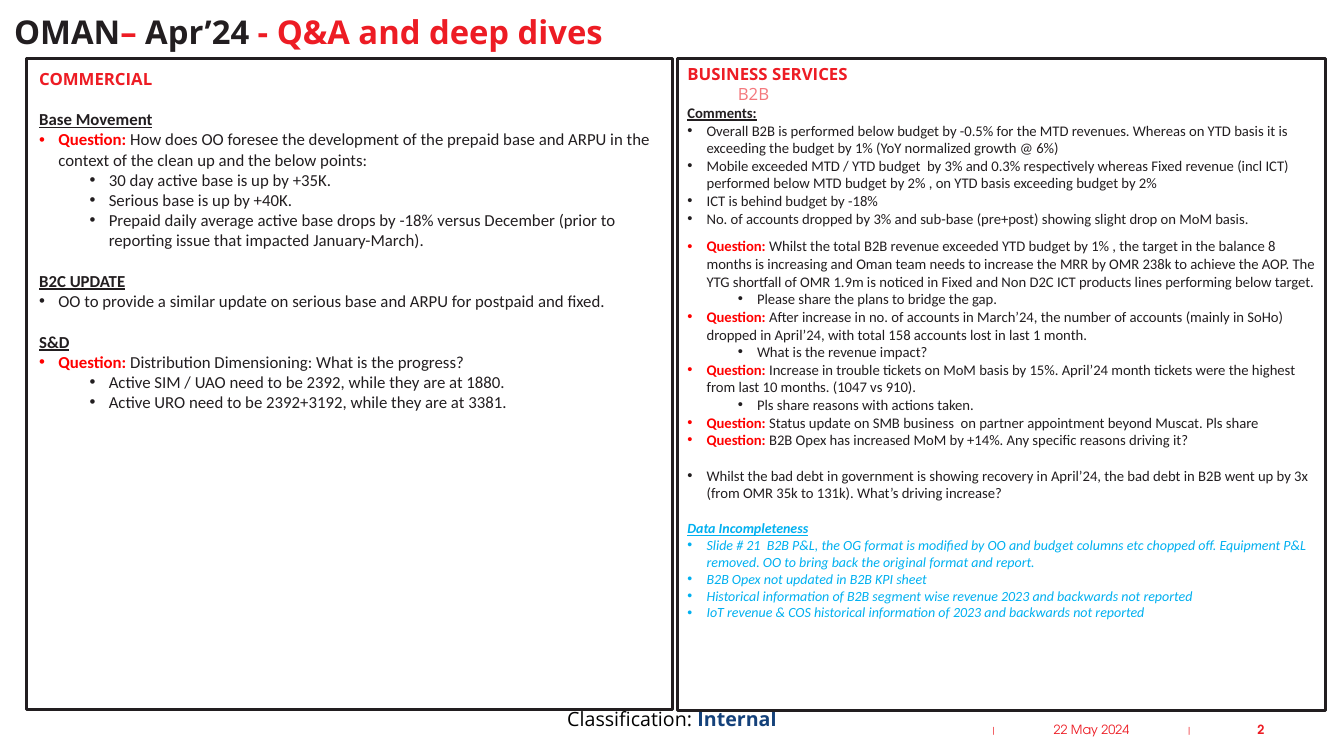
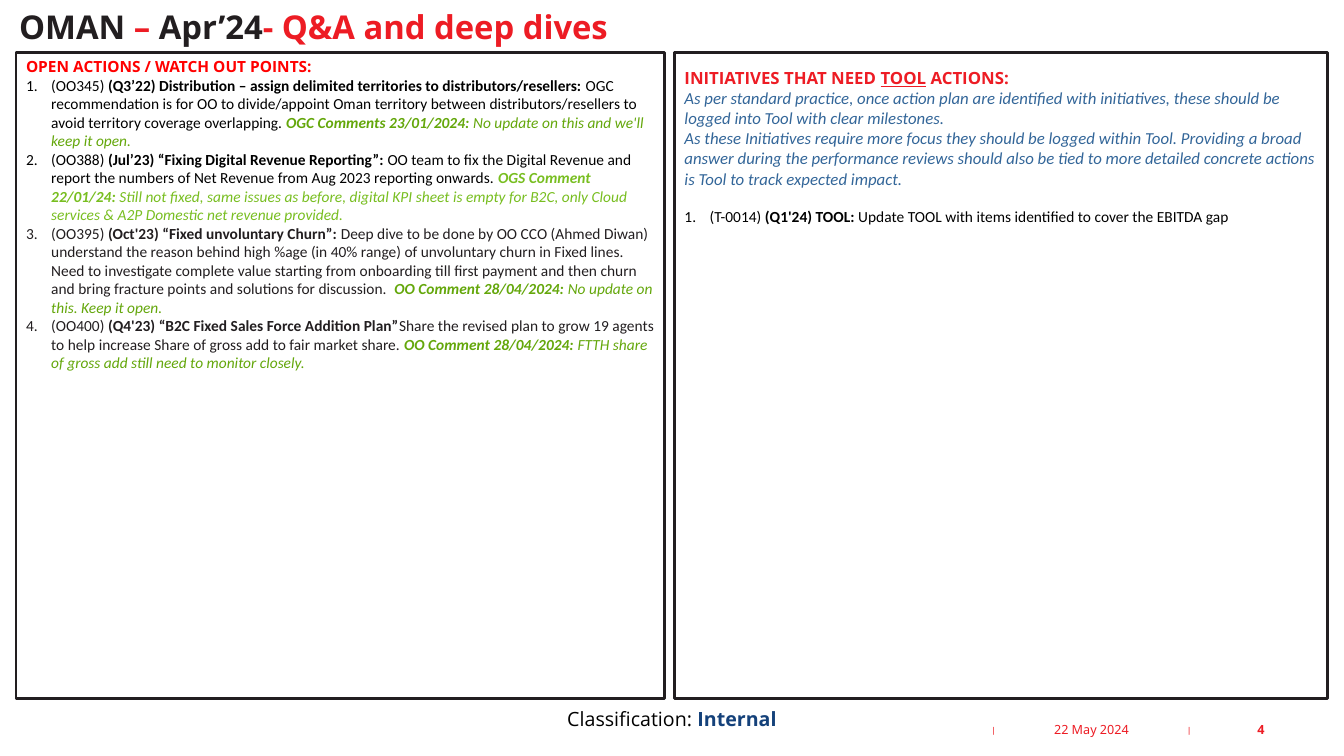
from dataclasses import dataclass, field
from typing import Any

from lxml.etree import SubElement
from pptx import Presentation
from pptx.dml.color import RGBColor
from pptx.enum.shapes import MSO_SHAPE as Shape
from pptx.enum.text import MSO_ANCHOR as Anchor, PP_ALIGN as Align
from pptx.oxml.ns import qn
from pptx.util import Inches, Pt

INK = RGBColor(0x22, 0x1E, 0x20)
BLACK = RGBColor(0, 0, 0)
WHITE = RGBColor(0xFF, 0xFF, 0xFF)
BRAND_RED = RGBColor(0xED, 0x1C, 0x24)
PINK = RGBColor(0xF4, 0x77, 0x7C)
ALERT_RED = RGBColor(0xFF, 0, 0)
SKY = RGBColor(0x00, 0xB0, 0xF0)
NAVY = RGBColor(0x14, 0x41, 0x7A)
STEEL = RGBColor(0x33, 0x66, 0x99)
GREEN = RGBColor(0x64, 0xA7, 0x0B)
LIME = RGBColor(0x78, 0xBE, 0x20)

HEAD_FONT, BODY_FONT, TICK_FONT = "Open Sans", "Calibri", "Arial"
Format = dict[str, Any]
HEADING: Format = dict(size=12, font=HEAD_FONT, color=BRAND_RED, bold=True)


@dataclass(frozen=True)
class Span:
    text: str
    style: Format = field(default_factory=dict)


@dataclass(frozen=True)
class Marker:
    left: float
    hang: float
    tag: str = ""
    attribute: str = ""
    value: str = ""


@dataclass(frozen=True)
class Para:
    spans: list[Span]
    marker: Marker | None = None
    gap: float = 0
    line_spacing: float | None = None
    align: Align = Align.LEFT


@dataclass(frozen=True)
class Area:
    left: float
    top: float
    width: float
    height: float

    def lengths(self) -> list[int]:
        return [Inches(n) for n in (self.left, self.top, self.width, self.height)]


BULLET = Marker(0.19, 0.19, "a:buChar", "char", "•")
SUB_BULLET = Marker(0.69, 0.19, "a:buChar", "char", "•")
NUMBER = Marker(0.25, 0.25, "a:buAutoNum", "type", "arabicPeriod")
INDENT = Marker(0.5, 0)


def add_span(para, text: str, *, size: float = 12, font: str = BODY_FONT,
             color: RGBColor = INK, bold: bool = False, italic: bool = False,
             underline: bool = False) -> None:
    run = para.add_run()
    run.text = text
    run.font.size, run.font.name = Pt(size), font
    run.font.color.rgb = color
    run.font.bold, run.font.italic, run.font.underline = bold, italic, underline


def set_marker(para, marker: Marker) -> None:
    props = para._p.get_or_add_pPr()
    props.set("marL", str(Inches(marker.left)))
    props.set("indent", str(-Inches(marker.hang)))
    if marker.tag:
        SubElement(props, qn("a:buFont")).set("typeface", "Arial")
        SubElement(props, qn(marker.tag)).set(marker.attribute, marker.value)


def write(frame, paras: list[Para], **base: Any) -> None:
    frame.word_wrap = True
    for index, item in enumerate(paras):
        para = frame.add_paragraph() if index else frame.paragraphs[0]
        para.alignment = item.align
        if item.gap:
            para.space_before = Pt(item.gap)
        if item.line_spacing:
            para.line_spacing = item.line_spacing
        if item.marker:
            set_marker(para, item.marker)
        for span in item.spans:
            add_span(para, span.text, **{**base, **span.style})


def add_text(page, area: Area, paras: list[Para], anchor: Anchor = Anchor.TOP,
             left_inset: float = 0.1, **base: Any) -> None:
    frame = page.shapes.add_textbox(*area.lengths()).text_frame
    frame.vertical_anchor = anchor
    frame.margin_left = Inches(left_inset)
    write(frame, paras, **base)


def add_panel(page, area: Area, paras: list[Para], **base: Any) -> None:
    box = page.shapes.add_shape(Shape.RECTANGLE, *area.lengths())
    box.shadow.inherit = False
    box.fill.solid()
    box.fill.fore_color.rgb = WHITE
    box.line.color.rgb = INK
    box.line.width = Pt(2)
    box.text_frame.vertical_anchor = Anchor.TOP
    if paras:
        write(box.text_frame, paras, **base)


def plain(text: str, marker: Marker | None = None, gap: float = 0, **style: Any) -> Para:
    return Para([Span(text, style)], marker, gap)


def question(text: str, gap: float = 0) -> Para:
    lead = Span("Question: ", dict(color=ALERT_RED, bold=True))
    return Para([lead, Span(text)], BULLET, gap)


def section(text: str, gap: float = 0, **style: Any) -> Para:
    return plain(text, gap=gap, bold=True, underline=True, **style)


def action(code: str, title: str, detail: str, comment: str = "", reply: str = "",
           color: RGBColor = INK, accent: RGBColor = GREEN, gap: float = 0) -> Para:
    spans = [Span(code, dict(color=color)), Span(title, dict(color=color, bold=True)),
             Span(detail, dict(color=color))]
    if comment:
        spans += [Span(comment, dict(color=accent, bold=True, italic=True)),
                  Span(reply, dict(color=accent, italic=True))]
    return Para(spans, NUMBER, gap)


def add_footer(page, number: str, font: str) -> None:
    for left, width in ((9.68, 0.35), (11.64, 0.31)):
        add_text(page, Area(left, 7.14, width, 0.2), [Para([Span("|")], align=Align.CENTER)],
                 Anchor.MIDDLE, size=6, font=TICK_FONT, color=BRAND_RED)
    label = [Span("Classification: "), Span("Internal", dict(color=NAVY, bold=True))]
    add_text(page, Area(0, 6.93, 13.33, 0.4), [Para(label, align=Align.CENTER)],
             Anchor.MIDDLE, size=14, font=HEAD_FONT, color=BLACK)
    style: Format = dict(size=9, font=font, color=BRAND_RED)
    add_text(page, Area(9.87, 7.04, 1.91, 0.4),
             [Para([Span("22 May 2024")], align=Align.CENTER)], Anchor.MIDDLE, **style)
    add_text(page, Area(11.78, 7.04, 0.86, 0.4),
             [Para([Span(number)], align=Align.RIGHT)], Anchor.MIDDLE, bold=True, **style)


def add_title(page, left: float, top: float, parts: list[str]) -> None:
    spans = [Span(text, dict(color=BRAND_RED if index % 2 else INK))
             for index, text in enumerate(parts)]
    add_text(page, Area(left, top, 13.17, 0.45), [Para(spans, line_spacing=0.9)],
             Anchor.MIDDLE, left_inset=0, size=23.4, font=HEAD_FONT, bold=True)


COMMERCIAL = [
    plain("COMMERCIAL", **HEADING),
    section("Base Movement", 14.6),
    question("How does OO foresee the development of the prepaid base and ARPU in the "
             "context of the clean up and the below points:"),
    plain("30 day active base is up by +35K.", SUB_BULLET),
    plain("Serious base is up by +40K.", SUB_BULLET),
    plain("Prepaid daily average active base drops by -18% versus December (prior to "
          "reporting issue that impacted January-March).", SUB_BULLET),
    section("B2C UPDATE", 14.6),
    plain("OO to provide a similar update on serious base and ARPU for postpaid and fixed.",
          BULLET),
    section("S&D", 14.6),
    question("Distribution Dimensioning: What is the progress?"),
    plain("Active SIM / UAO need to be 2392, while they are at 1880.", SUB_BULLET),
    plain("Active URO need to be 2392+3192, while they are at 3381.", SUB_BULLET),
]

MISSING_DATA = [
    "Slide # 21  B2B P&L, the OG format is modified by OO and budget columns etc chopped "
    "off. Equipment P&L removed. OO to bring back the original format and report.",
    "B2B Opex not updated in B2B KPI sheet",
    "Historical information of B2B segment wise revenue 2023 and backwards not reported",
    "IoT revenue & COS historical information of 2023 and backwards not reported",
]

BUSINESS = [
    plain("BUSINESS SERVICES", **HEADING),
    plain("B2B", INDENT, size=12, font=HEAD_FONT, color=PINK),
    section("Comments:"),
    plain("Overall B2B is performed below budget by -0.5% for the MTD revenues. Whereas on "
          "YTD basis it is exceeding the budget by 1% (YoY normalized growth @ 6%)", BULLET),
    plain("Mobile exceeded MTD / YTD budget  by 3% and 0.3% respectively whereas Fixed "
          "revenue (incl ICT) performed below MTD budget by 2% , on YTD basis exceeding "
          "budget by 2%", BULLET),
    plain("ICT is behind budget by -18%", BULLET),
    plain("No. of accounts dropped by 3% and sub-base (pre+post) showing slight drop on "
          "MoM basis.", BULLET),
    question("Whilst the total B2B revenue exceeded YTD budget by 1% , the target in the "
             "balance 8 months is increasing and Oman team needs to increase the MRR by OMR "
             "238k to achieve the AOP. The YTG shortfall of OMR 1.9m is noticed in Fixed and "
             "Non D2C ICT products lines performing below target.", 7.3),
    plain("Please share the plans to bridge the gap.", SUB_BULLET),
    question("After increase in no. of accounts in March’24, the number of accounts (mainly "
             "in SoHo) dropped in April’24, with total 158 accounts lost in last 1 month."),
    plain("What is the revenue impact?", SUB_BULLET),
    question("Increase in trouble tickets on MoM basis by 15%. April’24 month tickets were "
             "the highest from last 10 months. (1047 vs 910)."),
    plain("Pls share reasons with actions taken.", SUB_BULLET),
    question("Status update on SMB business  on partner appointment beyond Muscat. Pls share"),
    question("B2B Opex has increased MoM by +14%. Any specific reasons driving it?"),
    plain("Whilst the bad debt in government is showing recovery in April’24, the bad debt "
          "in B2B went up by 3x (from OMR 35k to 131k). What’s driving increase?",
          BULLET, 12.8),
    section("Data Incompleteness", 12.8, size=10, color=SKY, italic=True),
    *[plain(text, BULLET, size=10, color=SKY, italic=True) for text in MISSING_DATA],
]

OPEN_ACTIONS = [
    plain("OPEN ACTIONS / WATCH OUT POINTS:", font=HEAD_FONT, color=ALERT_RED, bold=True),
    action("(OO345) ",
           "(Q3’22) Distribution – assign delimited territories to distributors/resellers: ",
           "OGC recommendation is for OO to divide/appoint Oman territory between "
           "distributors/resellers to avoid territory coverage overlapping. ",
           "OGC Comments 23/01/2024: ", "No update on this and we'll keep it open.",
           color=BLACK),
    action("(OO388) ", "(Jul’23) “Fixing Digital Revenue Reporting”: ",
           "OO team to fix the Digital Revenue and report the numbers of Net Revenue from "
           "Aug 2023 reporting onwards. ",
           "OGS Comment 22/01/24: ",
           "Still not fixed, same issues as before, digital KPI sheet is empty for B2C, only "
           "Cloud services & A2P Domestic net revenue provided.", color=BLACK, accent=LIME),
    action("(OO395) ", "(Oct'23) “Fixed unvoluntary Churn”: ",
           "Deep dive to be done by OO CCO (Ahmed Diwan) understand the reason behind high "
           "%age (in 40% range) of unvoluntary churn in Fixed lines. Need to investigate "
           "complete value starting from onboarding till first payment and then churn and "
           "bring fracture points and solutions for discussion.  ",
           "OO Comment 28/04/2024: ", "No update on this. Keep it open."),
    action("(OO400) ", "(Q4'23) “B2C Fixed Sales Force Addition Plan”",
           "Share the revised plan to grow 19 agents to help increase Share of gross add to "
           "fair market share. ",
           "OO Comment 28/04/2024: ", "FTTH share of gross add still need to monitor closely."),
]

GUIDANCE: Format = dict(size=12, color=STEEL, italic=True)
INITIATIVES = [
    Para([Span("INITIATIVES THAT NEED ", HEADING), Span("TOOL", {**HEADING, "underline": True}),
          Span(" ACTIONS:", HEADING)], line_spacing=1.5),
    plain("As per standard practice, once action plan are identified with initiatives, these "
          "should be logged into Tool with clear milestones.", **GUIDANCE),
    plain("As these Initiatives require more focus they should be logged within Tool. "
          "Providing a broad answer during the performance reviews should also be tied to "
          "more detailed concrete actions is Tool to track expected impact.", **GUIDANCE),
    action("(T-0014)", " (Q1'24) TOOL: ",
           "Update TOOL with items identified to cover the EBITDA gap", color=BLACK, gap=13.4),
]


def build_questions(page) -> None:
    add_footer(page, "2", "TeX Gyre Adventor")
    add_panel(page, Area(6.72, 0.58, 6.43, 6.47), BUSINESS, size=10.5)
    add_panel(page, Area(0.26, 0.58, 6.41, 6.46), [])
    add_title(page, 0.14, 0.11, ["OMAN", "– ", "Apr’24", " - Q&A and deep dives"])
    add_text(page, Area(0.29, 0.63, 6.41, 3.53), COMMERCIAL)


def build_actions(page) -> None:
    add_footer(page, "4", "Noto Sans")
    add_panel(page, Area(0.16, 0.52, 6.43, 6.41), OPEN_ACTIONS, size=11)
    add_title(page, 0.19, 0.06, ["OMAN", " – ", "Apr’24", "- Q&A and deep dives"])
    add_panel(page, Area(6.69, 0.52, 6.48, 6.41), INITIATIVES, size=11)


def main() -> None:
    deck = Presentation()
    deck.slide_width, deck.slide_height = Inches(13.33), Inches(7.5)
    for build in (build_questions, build_actions):
        build(deck.slides.add_slide(deck.slide_layouts[6]))
    deck.save("out.pptx")


if __name__ == "__main__":
    main()
